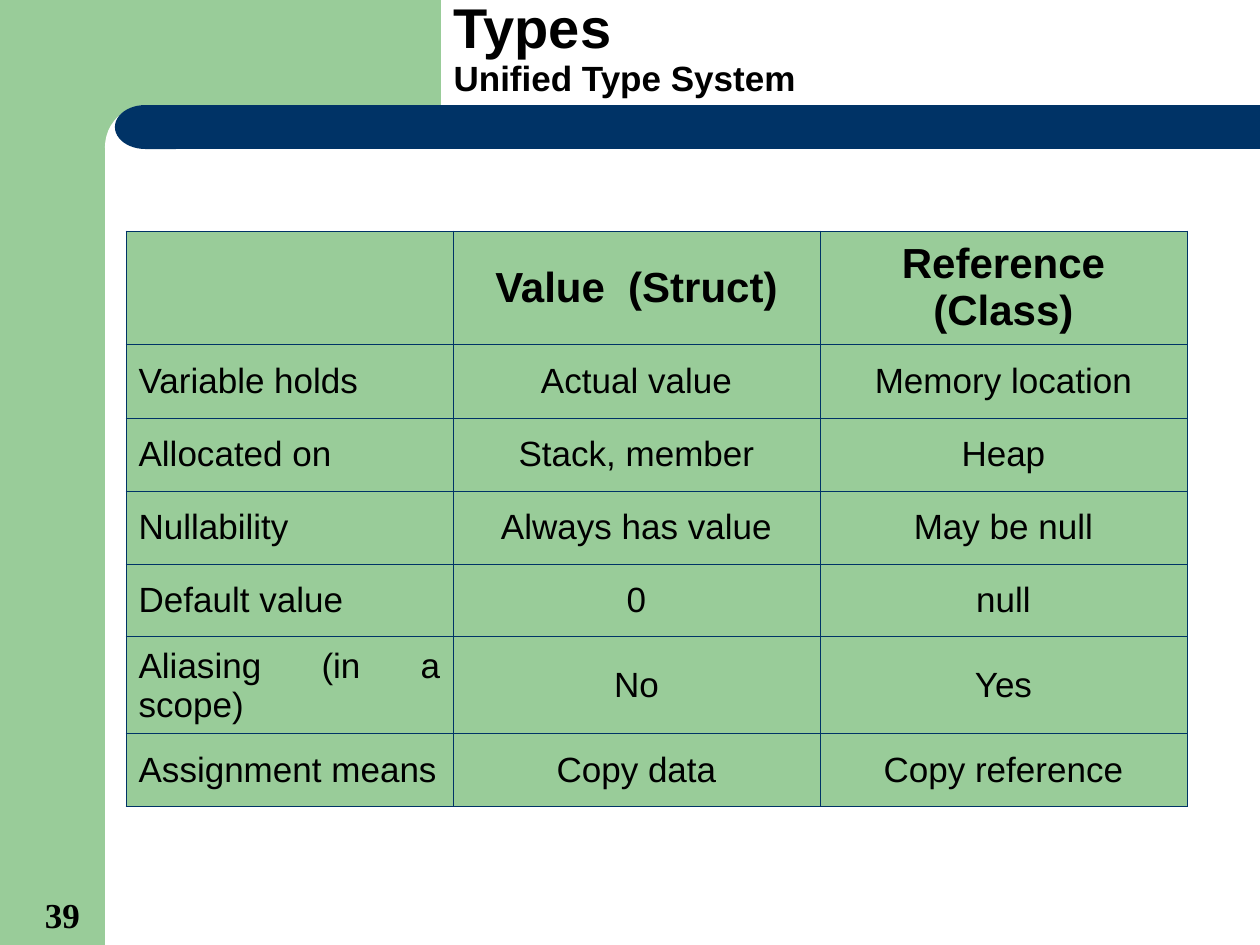
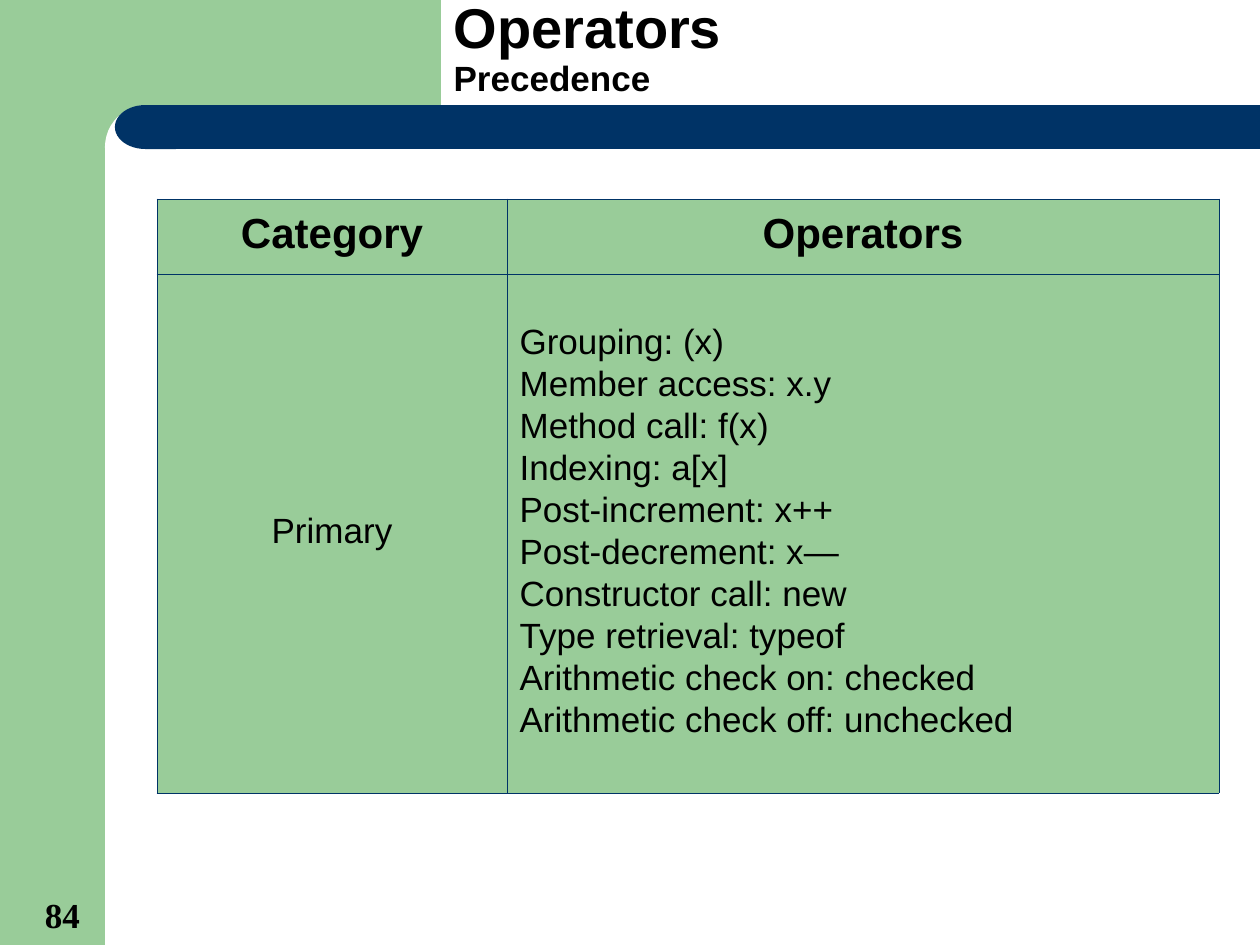
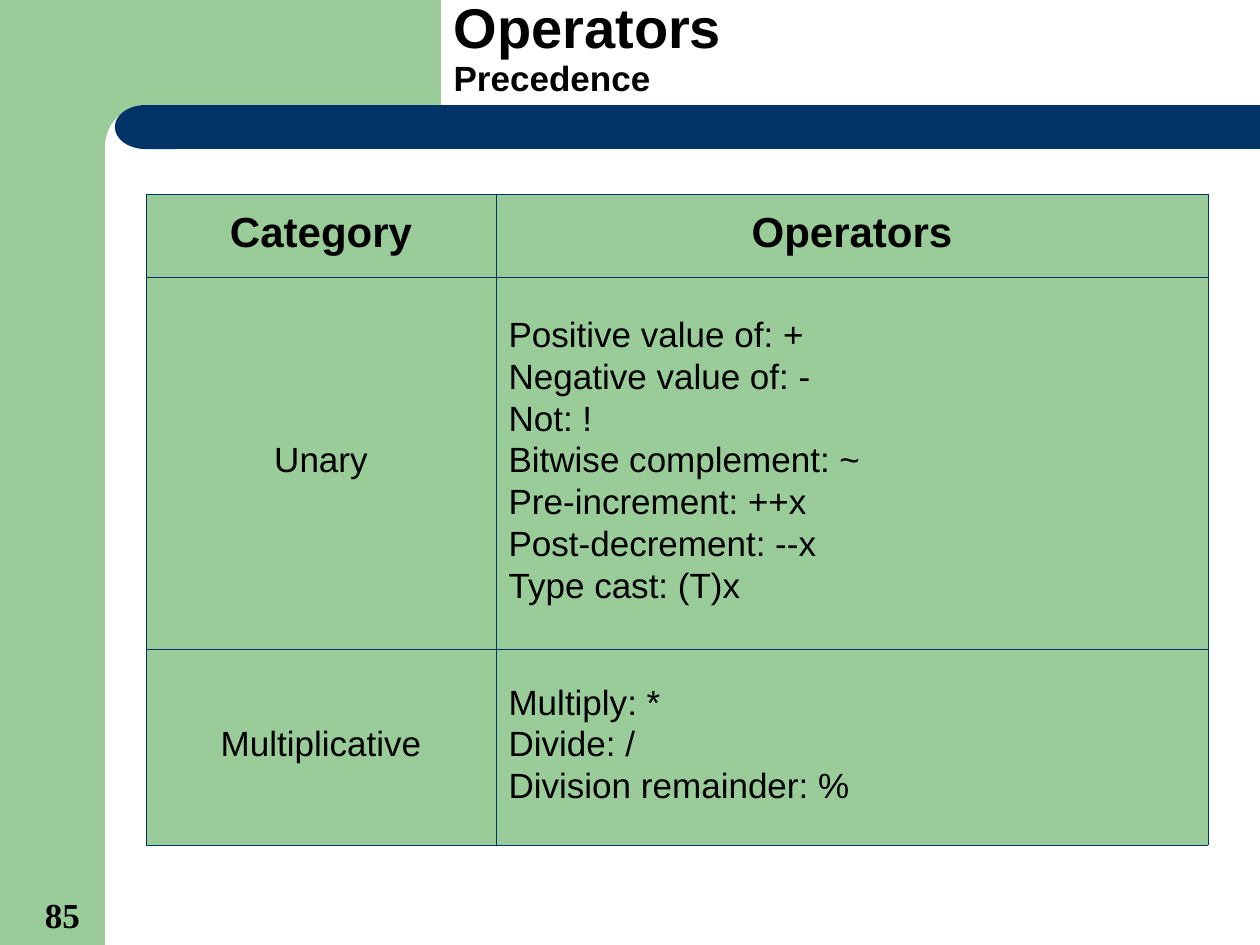
from lxml import etree
from pptx import Presentation
from pptx.dml.color import RGBColor
from pptx.enum.shapes import MSO_SHAPE
from pptx.enum.text import MSO_ANCHOR, MSO_AUTO_SIZE, PP_ALIGN
from pptx.oxml.ns import qn
from pptx.util import Pt

RECTANGLE = MSO_SHAPE.RECTANGLE
ROUNDED = MSO_SHAPE.ROUNDED_RECTANGLE
DELAY = MSO_SHAPE.FLOWCHART_DELAY
MIDDLE, BOTTOM = MSO_ANCHOR.MIDDLE, MSO_ANCHOR.BOTTOM
LEFT, CENTER, JUSTIFY = PP_ALIGN.LEFT, PP_ALIGN.CENTER, PP_ALIGN.JUSTIFY

EMU_PER_PX = 914400 / 126
SLIDE_SIZE = (1260, 945)
GREEN, NAVY, WHITE, BLACK = "99CC99", "003366", "FFFFFF", "000000"
BORDER_WIDTH = Pt(0.45)

BANDS = [
    (RECTANGLE, (0, 0, 105, 945), GREEN),
    (RECTANGLE, (95, 0, 346, 147), GREEN),
    (ROUNDED, (105, 105, 703, 84), WHITE),
    (RECTANGLE, (174, 105, 1086, 44), NAVY),
    (DELAY, (115, 105, 61, 44), NAVY),
]
TITLE_AREA = (441, 21, 798, 84)
NUMBER_AREA = (11, 887, 103, 55)

TITLE_FONT = {"name": "Arial", "size": Pt(32), "bold": True}
SUBTITLE_FONT = {"name": "Arial", "size": Pt(20), "bold": True}
HEADER_FONT = {"name": "Arial", "size": Pt(24), "bold": True}
BODY_FONT = {"name": "Arial", "size": Pt(20), "bold": False}
NUMBER_FONT = {"name": "Times New Roman", "size": Pt(20), "bold": True}

PAGES = [
    {
        "number": "39",
        "title": ("Types", "Unified Type System"),
        "corner": (126, 231),
        "columns": [327, 367, 367],
        "rows": [113, 74, 73, 73, 73, 97, 73],
        "aligns": [JUSTIFY, CENTER, CENTER],
        "line_spacing": 1.0,
        "cells": [
            ("", "Value  (Struct)", "Reference (Class)"),
            ("Variable holds", "Actual value", "Memory location"),
            ("Allocated on", "Stack, member", "Heap"),
            ("Nullability", "Always has value", "May be null"),
            ("Default value", "0", "null"),
            ("Aliasing (in a scope)", "No", "Yes"),
            ("Assignment means", "Copy data", "Copy reference"),
        ],
    },
    {
        "number": "84",
        "title": ("Operators", "Precedence"),
        "corner": (157, 199),
        "columns": [350, 712],
        "rows": [75, 519],
        "aligns": [CENTER, JUSTIFY],
        "line_spacing": 0.85,
        "cells": [
            ("Category", "Operators"),
            ("Primary", [
                "Grouping: (x)",
                "Member access: x.y",
                "Method call: f(x)",
                "Indexing: a[x]",
                "Post-increment: x++",
                "Post-decrement: x—",
                "Constructor call: new",
                "Type retrieval: typeof",
                "Arithmetic check on: checked",
                "Arithmetic check off: unchecked",
            ]),
        ],
    },
    {
        "number": "85",
        "title": ("Operators", "Precedence"),
        "corner": (146, 194),
        "columns": [350, 712],
        "rows": [83, 372, 196],
        "aligns": [CENTER, JUSTIFY],
        "line_spacing": 0.85,
        "cells": [
            ("Category", "Operators"),
            ("Unary", [
                "Positive value of: +",
                "Negative value of: -",
                "Not: !",
                "Bitwise complement: ~",
                "Pre-increment: ++x",
                "Post-decrement: --x",
                "Type cast: (T)x",
            ]),
            ("Multiplicative", [
                "Multiply: *",
                "Divide: /",
                "Division remainder: %",
            ]),
        ],
    },
]


def px(length):
    return round(length * EMU_PER_PX)


def area(lengths):
    return [px(length) for length in lengths]


def color(value):
    return RGBColor.from_string(value)


def paint(target, value):
    target.fill.solid()
    target.fill.fore_color.rgb = color(value)


def apply(target, values):
    for name, value in values.items():
        setattr(target, name, value)


def add_span(para, text, font):
    span = para.add_run()
    span.text = text
    apply(span.font, font)
    span.font.color.rgb = color(BLACK)


def add_bands(page):
    for kind, place, fill in BANDS:
        band = page.shapes.add_shape(kind, *area(place))
        band.shadow.inherit = False
        band.line.fill.background()
        paint(band, fill)
        if kind == ROUNDED:
            band.adjustments[0] = 0.5
        if kind == DELAY:
            band.element.spPr.get_or_add_xfrm().set("flipH", "1")


def set_title(page, heading, subtitle):
    box = page.shapes.title
    apply(box, dict(zip(("left", "top", "width", "height"), area(TITLE_AREA))))
    apply(box.text_frame, {"vertical_anchor": BOTTOM, "word_wrap": True,
                           "auto_size": MSO_AUTO_SIZE.NONE})
    para = box.text_frame.paragraphs[0]
    apply(para, {"alignment": LEFT, "line_spacing": 0.9})
    add_span(para, heading, TITLE_FONT)
    para.add_line_break()
    add_span(para, subtitle, SUBTITLE_FONT)


def add_number(page, number):
    frame = page.shapes.add_textbox(*area(NUMBER_AREA)).text_frame
    apply(frame, {"vertical_anchor": BOTTOM, "word_wrap": True})
    para = frame.paragraphs[0]
    para.alignment = CENTER
    add_span(para, number, NUMBER_FONT)


def add_borders(cell):
    properties = cell._tc.get_or_add_tcPr()
    for side in ("lnL", "lnR", "lnT", "lnB"):
        line = etree.SubElement(properties, qn(f"a:{side}"), w=str(BORDER_WIDTH))
        fill = etree.SubElement(line, qn("a:solidFill"))
        etree.SubElement(fill, qn("a:srgbClr"), val=NAVY)


def fill_cell(cell, content, font, align, line_spacing):
    add_borders(cell)
    paint(cell, GREEN)
    cell.vertical_anchor = MIDDLE
    lines = [content] if isinstance(content, str) else content
    for index, text in enumerate(lines):
        frame = cell.text_frame
        para = frame.add_paragraph() if index else frame.paragraphs[0]
        apply(para, {"alignment": align, "line_spacing": line_spacing})
        if index:
            para.space_before = Pt(5)
        if text:
            add_span(para, text, font)


def add_grid(page, content):
    columns, rows = content["columns"], content["rows"]
    place = area((*content["corner"], sum(columns), sum(rows)))
    table = page.shapes.add_table(len(rows), len(columns), *place).table
    apply(table, {"first_row": False, "horz_banding": False})
    for column, width in zip(table.columns, columns):
        column.width = px(width)
    for row_index, (row, height) in enumerate(zip(table.rows, rows)):
        row.height = px(height)
        font = BODY_FONT if row_index else HEADER_FONT
        aligns = content["aligns"] if row_index else [CENTER] * len(columns)
        for cell, text, align in zip(row.cells, content["cells"][row_index], aligns):
            fill_cell(cell, text, font, align, content["line_spacing"])


def main():
    deck = Presentation()
    deck.slide_width, deck.slide_height = area(SLIDE_SIZE)
    for content in PAGES:
        page = deck.slides.add_slide(deck.slide_layouts[5])
        add_bands(page)
        set_title(page, *content["title"])
        add_grid(page, content)
        add_number(page, content["number"])
    deck.save("out.pptx")


if __name__ == "__main__":
    main()
